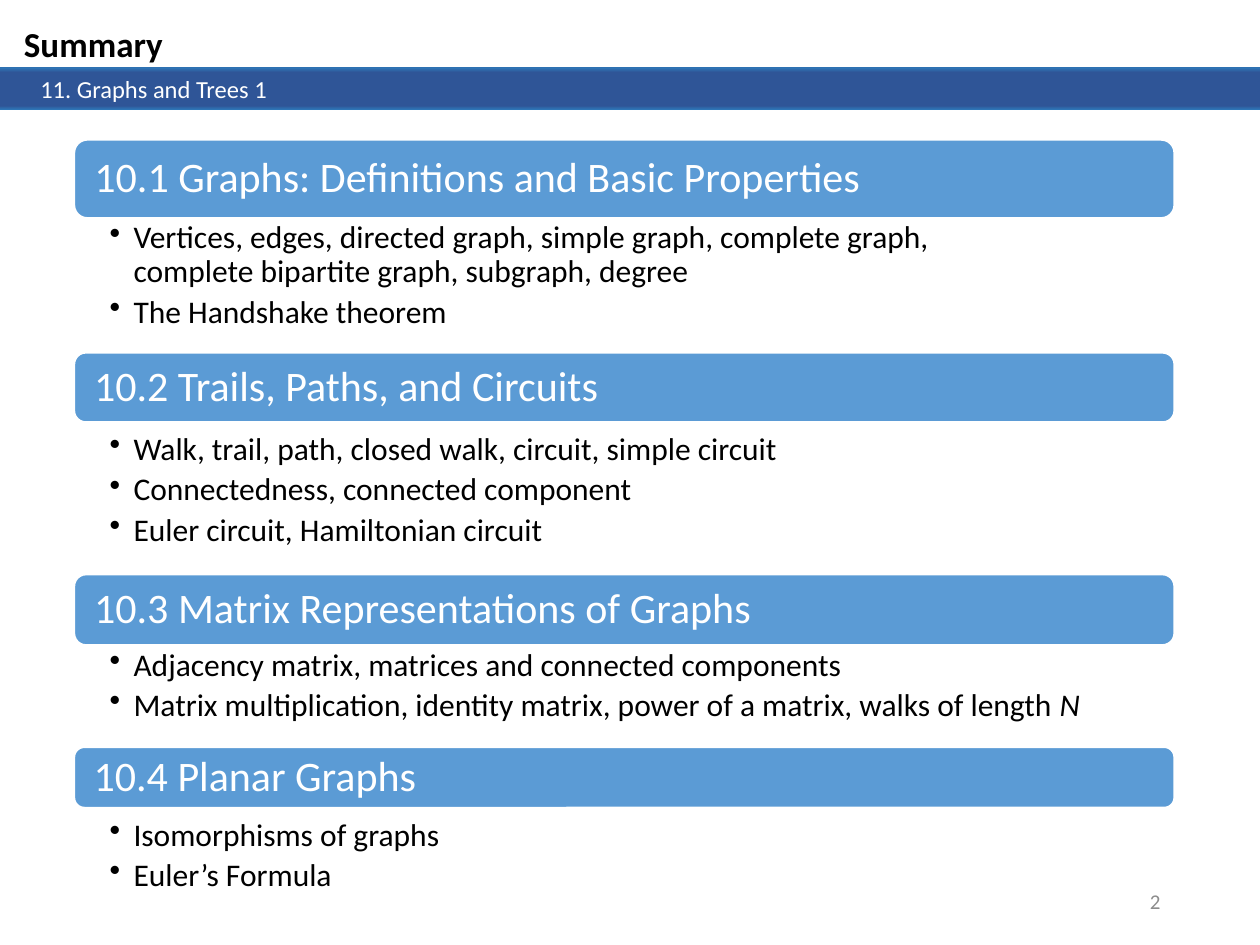
from copy import deepcopy

from pptx import Presentation
from pptx.dml.color import RGBColor
from pptx.enum.shapes import MSO_SHAPE
from pptx.enum.text import MSO_ANCHOR, MSO_AUTO_SIZE, PP_ALIGN
from pptx.oxml.ns import qn
from pptx.oxml.xmlchemy import OxmlElement
from pptx.util import Inches, Pt

RECTANGLE, ROUNDED = MSO_SHAPE.RECTANGLE, MSO_SHAPE.ROUNDED_RECTANGLE
TOP, MIDDLE = MSO_ANCHOR.TOP, MSO_ANCHOR.MIDDLE
LEFT, RIGHT = PP_ALIGN.LEFT, PP_ALIGN.RIGHT
NO_AUTOFIT = MSO_AUTO_SIZE.NONE

BLACK = RGBColor(0x00, 0x00, 0x00)
WHITE = RGBColor(0xFF, 0xFF, 0xFF)
GRAY = RGBColor(0x8C, 0x8C, 0x8C)
BLUE = RGBColor(0x5B, 0x9B, 0xD5)
BAND_EDGE = RGBColor(0x2E, 0x75, 0xB6)
BAND_CORE = RGBColor(0x2F, 0x55, 0x97)
BAND_STOPS = [(0, BAND_EDGE), (0.11, BAND_CORE), (0.91, BAND_CORE), (1, BAND_EDGE)]

FONT = "Calibri"
SECTION_LEFT, SECTION_WIDTH = 0.59, 8.73
BULLET_INDENT = Inches(0.19)

# Each section: heading, heading top and height, bullets top and height, bullets as spans.
SECTIONS = [
    ("10.1 Graphs: Definitions and Basic Properties", 1.11, 0.62, 1.73, 1.06, [
        ["Vertices, edges, directed graph, simple graph, complete graph, \v"
         "complete bipartite graph, subgraph, degree"],
        ["The Handshake theorem"]]),
    ("10.2 Trails, Paths, and Circuits", 2.8, 0.55, 3.41, 1.14, [
        ["Walk, trail, path, closed walk, circuit, simple circuit"],
        ["Connectedness, connected component"],
        ["Euler circuit, Hamiltonian circuit"]]),
    ("10.3 Matrix Representations of Graphs", 4.56, 0.56, 5.12, 0.91, [
        ["Adjacency matrix, matrices and connected components"],
        ["Matrix multiplication, identity matrix, power of a matrix, walks of length ", "N"]]),
    ("10.4 Planar Graphs", 5.93, 0.48, 6.47, 0.46, [
        ["Isomorphisms of graphs"],
        ["Euler’s Formula"]]),
]


def inches(box):
    """Turn a left, top, width, height tuple into lengths."""
    return [Inches(length) for length in box]


def apply_format(target, values):
    """Set every attribute named in the dict on the target."""
    for name, value in values.items():
        setattr(target, name, value)


def set_frame(frame, anchor=TOP, insets=(0.1, 0.05, 0.1, 0.05)):
    """Set wrapping, anchor and insets of a text frame."""
    left, top, right, bottom = inches(insets)
    apply_format(frame, {
        "word_wrap": True, "auto_size": NO_AUTOFIT, "vertical_anchor": anchor,
        "margin_left": left, "margin_top": top,
        "margin_right": right, "margin_bottom": bottom})


def write_para(para, spans, size, color, align=LEFT, bold=False):
    """Fill a paragraph; every span after the first is italic."""
    para.alignment = align
    para.font.size = Pt(size)
    for index, text in enumerate(spans):
        for part_index, part in enumerate(text.split("\v")):
            if part_index:
                para.add_line_break()
            span = para.add_run()
            span.text = part
            apply_format(span.font, {
                "name": FONT, "size": Pt(size), "bold": bold, "italic": index > 0})
            span.font.color.rgb = color


def add_bullet(para):
    """Give a paragraph a hanging round bullet."""
    properties = para._p.get_or_add_pPr()
    properties.set("marL", str(BULLET_INDENT))
    properties.set("indent", str(-BULLET_INDENT))
    bullet = OxmlElement("a:buChar")
    bullet.set("char", "•")
    properties.append(bullet)


def add_band(page, box):
    """Add a rectangle with the vertical blue gradient."""
    band = page.shapes.add_shape(RECTANGLE, *inches(box))
    band.shadow.inherit = False
    band.line.fill.background()
    band.fill.gradient()
    band.fill.gradient_angle = 270
    stop_list = next(band._element.iter(qn("a:gsLst")))
    for element in list(stop_list):
        stop_list.append(deepcopy(element))
    for stop, (position, color) in zip(band.fill.gradient_stops, BAND_STOPS):
        stop.position = position
        stop.color.rgb = color
    return band


def add_header(page):
    """Place the title and the band with the chapter name."""
    add_band(page, (0, 0.53, 10, 0.3))
    chapter = add_band(page, (0, 0.54, 10, 0.33)).text_frame
    set_frame(chapter, insets=(0.32, 0.05, 0.1, 0.05))
    write_para(chapter.paragraphs[0], ["11. Graphs and Trees 1"], 14, WHITE)

    title = page.shapes.title
    left, top, width, height = inches((0.09, 0.13, 2.69, 0.44))
    apply_format(title, {"left": left, "top": top, "width": width, "height": height})
    set_frame(title.text_frame)
    write_para(title.text_frame.paragraphs[0], ["Summary"], 20, BLACK, bold=True)


def add_heading(page, box, text):
    """Add a rounded section heading."""
    heading = page.shapes.add_shape(ROUNDED, *inches(box))
    heading.shadow.inherit = False
    heading.fill.solid()
    heading.fill.fore_color.rgb = BLUE
    heading.line.color.rgb = WHITE
    heading.line.width = Pt(1)
    set_frame(heading.text_frame, MIDDLE, (0.13, 0.1, 0.13, 0.1))
    para = heading.text_frame.paragraphs[0]
    write_para(para, [text], 24, WHITE)
    para.line_spacing = 0.9


def add_bullets(page, box, items):
    """Add the bulleted topics of a section."""
    frame = page.shapes.add_textbox(*inches(box)).text_frame
    set_frame(frame, insets=(0.28, 0.03, 0.14, 0.03))
    for index, spans in enumerate(items):
        para = frame.add_paragraph() if index else frame.paragraphs[0]
        write_para(para, spans, 18, BLACK)
        apply_format(para, {"line_spacing": 0.9, "space_after": Pt(3.6)})
        add_bullet(para)


def add_page_number(page, box, number):
    """Add the page number at the right of its box."""
    frame = page.shapes.add_textbox(*inches(box)).text_frame
    set_frame(frame, MIDDLE)
    write_para(frame.paragraphs[0], [number], 12, GRAY, RIGHT)


def main():
    """Build the summary slide and save the deck."""
    deck = Presentation()
    deck.slide_width, deck.slide_height = Inches(10), Inches(7.5)
    page = deck.slides.add_slide(deck.slide_layouts[5])
    add_header(page)
    for heading, top, height, bullets_top, bullets_height, items in SECTIONS:
        add_heading(page, (SECTION_LEFT, top, SECTION_WIDTH, height), heading)
        add_bullets(page, (SECTION_LEFT, bullets_top, SECTION_WIDTH, bullets_height), items)
    add_page_number(page, (7.06, 6.95, 2.25, 0.4), "2")
    deck.save("out.pptx")


if __name__ == "__main__":
    main()
